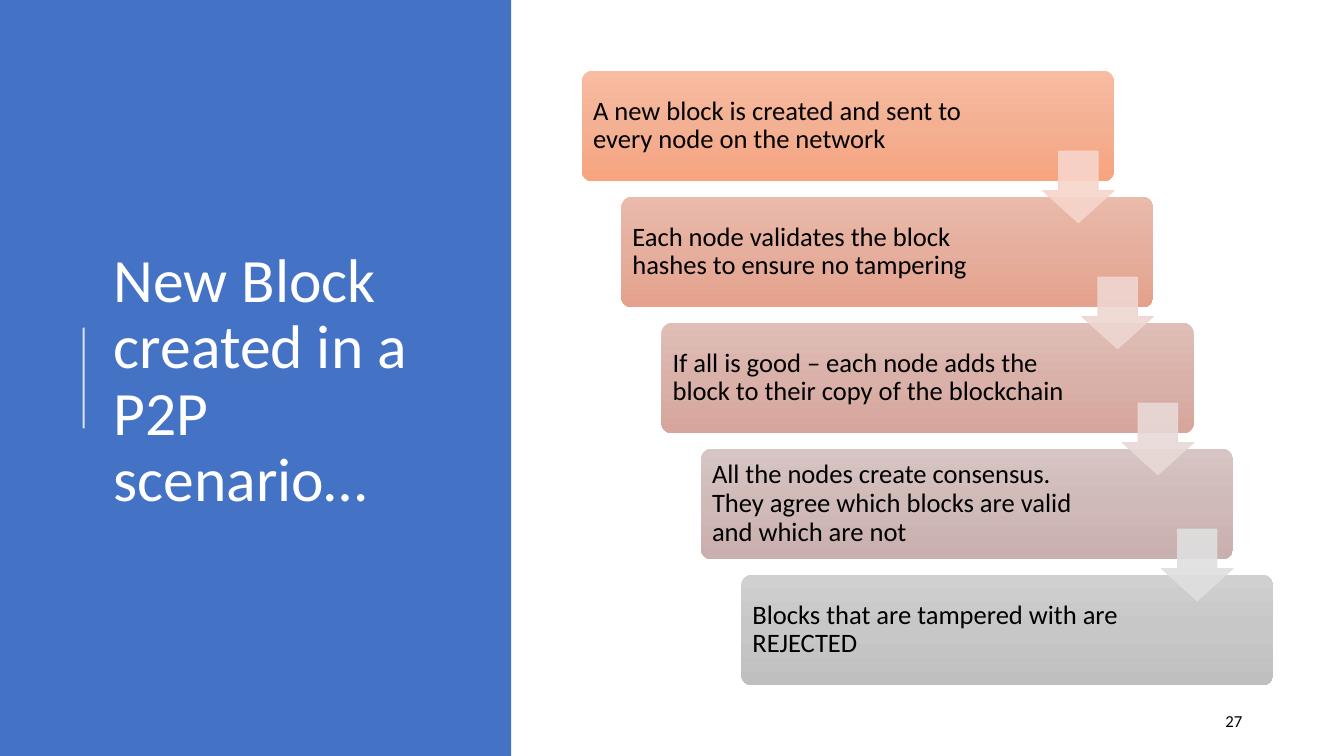
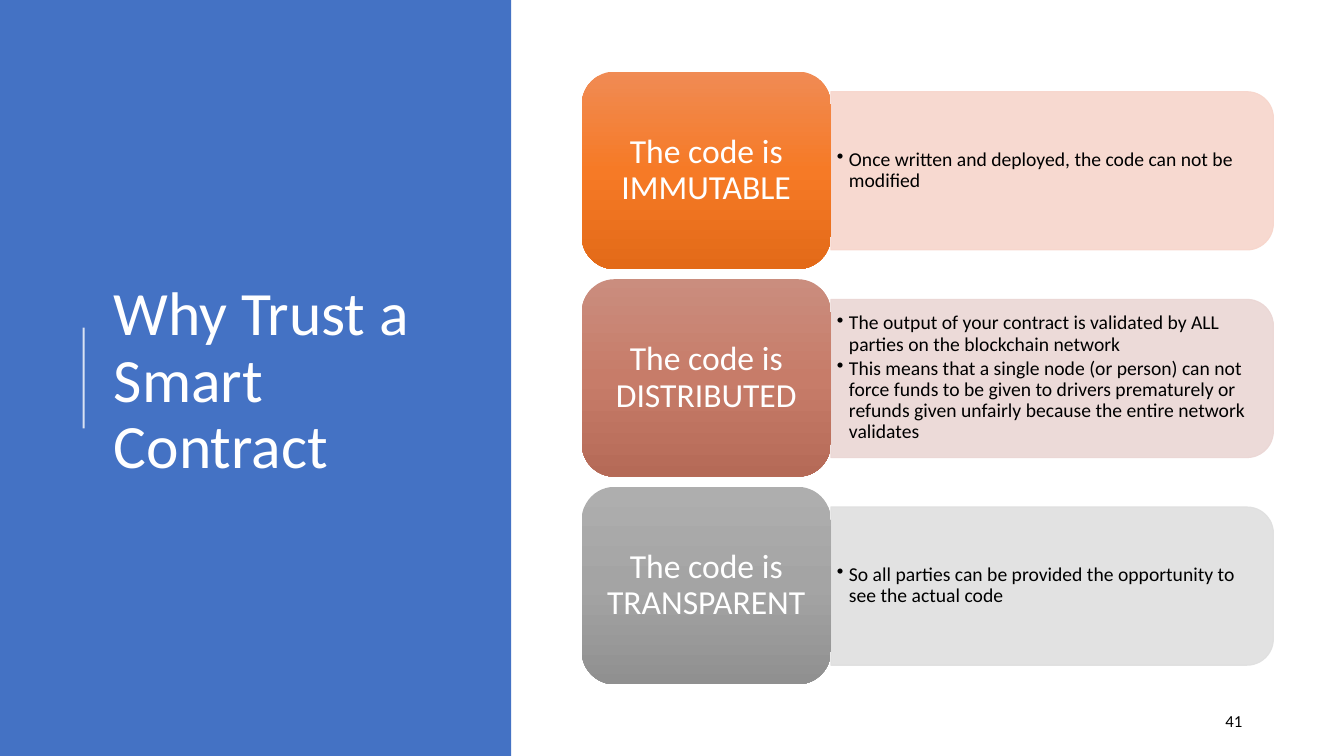
from copy import deepcopy

from lxml import etree
from pptx import Presentation
from pptx import util as u
from pptx.dml.color import RGBColor
from pptx.enum import shapes, text
from pptx.oxml.ns import qn

PX = 9144  # 100 px to the inch
FONT = "Calibri"
COLORS = {
    "panel": "4472C4", "white": "FFFFFF", "black": "000000",
    "peach": "F7D5CB", "blush": "EFD6D1", "rose": "EBD6D4",
    "mauve": "E8D9D7", "silver": "DFDFDF",
}
PRESET = shapes.MSO_SHAPE
ALIGN = text.PP_ALIGN


def draw(page, preset, box, fill, adjust=(), alpha=None):
    """Add a shape; fill is one hex colour or a list of top-to-bottom stops."""
    shape = page.shapes.add_shape(preset, *[n * PX for n in box])
    shape.shadow.inherit = False
    for index, value in enumerate(adjust):
        shape.adjustments[index] = value
    shape.line.fill.background()
    if isinstance(fill, str):
        shape.fill.solid()
        shape.fill.fore_color.rgb = RGBColor.from_string(fill)
    else:
        shape.fill.gradient()
        shape.fill.gradient_angle = 270
        first = next(shape._element.spPr.iter(qn("a:gs")))
        first.addnext(deepcopy(first))
        for stop, position, color in zip(shape.fill.gradient_stops, (0, 0.5, 1), fill):
            stop.position = position
            stop.color.rgb = RGBColor.from_string(color)
    if alpha:
        shape.line.color.rgb = RGBColor.from_string(fill)
        shape.line.width = u.Pt(0.75)
        for color in shape._element.spPr.iter(qn("a:srgbClr")):
            etree.SubElement(color, qn("a:alpha"), val=str(alpha * 1000))
    return shape


def write(shape, *lines, size, color="black", align=ALIGN.LEFT, spacing=0.9,
          insets=(10, 5, 10, 5), bullet=False):
    """Fill a shape or text box, one paragraph per line; insets run left, top, right, bottom."""
    frame = shape.text_frame
    frame.word_wrap = True
    frame.vertical_anchor = text.MSO_ANCHOR.MIDDLE
    frame.margin_left, frame.margin_top, frame.margin_right, frame.margin_bottom = [
        n * PX for n in insets]
    for index, line in enumerate(lines):
        para = frame.add_paragraph() if index else frame.paragraphs[0]
        para.alignment = align
        para.line_spacing = spacing
        if index:
            para.space_before = u.Pt(2.1)
        if bullet:
            props = para._p.get_or_add_pPr()
            props.set("marL", str(12 * PX))
            props.set("indent", str(-12 * PX))
            tint = etree.SubElement(props, qn("a:buClr"))
            etree.SubElement(tint, qn("a:srgbClr"), val=COLORS[color])
            etree.SubElement(props, qn("a:buChar"), char="•")
        span = para.add_run()
        span.text = line
        span.font.name = FONT
        span.font.size = u.Pt(size)
        span.font.color.rgb = RGBColor.from_string(COLORS[color])


deck = Presentation()
deck.slide_width, deck.slide_height = 1333 * PX, 750 * PX

# Shared frame: blue panel, title, accent line, page number
pages = []
for title, number in [("New Block created in a P2P scenario…", "27"),
                      ("Why Trust a Smart Contract", "41")]:
    page = deck.slides.add_slide(deck.slide_layouts[6])
    pages.append(page)
    draw(page, PRESET.RECTANGLE, (0, 0, 507, 750), COLORS["panel"])
    title_box = page.shapes.add_textbox(*[n * PX for n in (103, 78, 369, 602)])
    write(title_box, title, size=44, color="white")
    accent = page.shapes.add_connector(
        shapes.MSO_CONNECTOR.STRAIGHT, 83 * PX, 425 * PX, 83 * PX, 325 * PX)
    accent.line.color.rgb = RGBColor.from_string(COLORS["white"])
    accent.line.width = u.Pt(1.5)
    line_color = next(accent._element.spPr.iter(qn("a:srgbClr")))
    etree.SubElement(line_color, qn("a:alpha"), val="80000")
    etree.SubElement(accent._element.spPr, qn("a:effectLst"))
    number_box = page.shapes.add_textbox(*[n * PX for n in (942, 695, 300, 40)])
    write(number_box, number, size=12, align=ALIGN.RIGHT, spacing=1.0)

block_page, trust_page = pages

# Staircase of steps: text, right inset, gradient
steps = [
    ("A new block is created and sent to every node on the network",
     133, ("F7BCA2", "F4B093", "F7A47F")),
    ("Each node validates the block hashes to ensure no tampering",
     119, ("EABAAB", "E5AE9D", "E5A18B")),
    ("If all is good – each node adds the block to their copy of the blockchain",
     119, ("DFBEB7", "D9B1A9", "D6A59B")),
    ("All the nodes create consensus. They agree which blocks are valid and which are not",
     133, ("D7C5C3", "CFBAB7", "C9AFAD")),
    ("Blocks that are tampered with are REJECTED",
     119, ("D0D0D0", "C7C7C7", "BFBFBF")),
]
shifts = [(79 * row // 2, 125 * row) for row in range(len(steps))]
for (line, right, stops), (dx, dy) in zip(steps, shifts):
    step = draw(block_page, PRESET.ROUNDED_RECTANGLE, (577 + dx, 70 + dy, 528, 110),
                stops, adjust=[0.1])
    write(step, line, size=19, insets=(8, 8, right, 8))
for tint, (dx, dy) in zip(("peach", "blush", "mauve", "silver"), shifts):
    draw(block_page, PRESET.DOWN_ARROW, (1034 + dx, 150 + dy, 71, 71),
         COLORS[tint], adjust=[0.55, 0.45], alpha=90)

# Reasons: tile text, gradient, tint of the detail bar, bullets
reasons = [
    ("The code is IMMUTABLE", ("F08B54", "F67A26", "E36A18"), "peach",
     ["Once written and deployed, the code can not be modified"]),
    ("The code is DISTRIBUTED", ("CA8D7E", "C77C69", "B56A57"), "rose",
     ["The output of your contract is validated by ALL parties on the blockchain network",
      "This means that a single node (or person) can not force funds to be given to drivers "
      "prematurely or refunds given unfairly because the entire network validates"]),
    ("The code is TRANSPARENT", ("AEAEAE", "A4A4A4", "909090"), "silver",
     ["So all parties can be provided the opportunity to see the actual code"]),
]
for row, (heading, stops, tint, details) in enumerate(reasons):
    top = 71 + 206 * row
    bar = draw(trust_page, PRESET.ROUND_2_SAME_RECTANGLE, (965, top - 121, 157, 439),
               COLORS[tint], adjust=[0.167, 0], alpha=90)
    bar.rotation = 90
    detail_box = trust_page.shapes.add_textbox(*[n * PX for n in (824, top + 27, 431, 142)])
    write(detail_box, *details, size=14, insets=(6, 3, 6, 3), bullet=True)
    tile = draw(trust_page, PRESET.ROUNDED_RECTANGLE, (577, top, 247, 196),
                stops, adjust=[0.167])
    write(tile, heading, size=24, color="white", align=ALIGN.CENTER)

deck.save("out.pptx")
